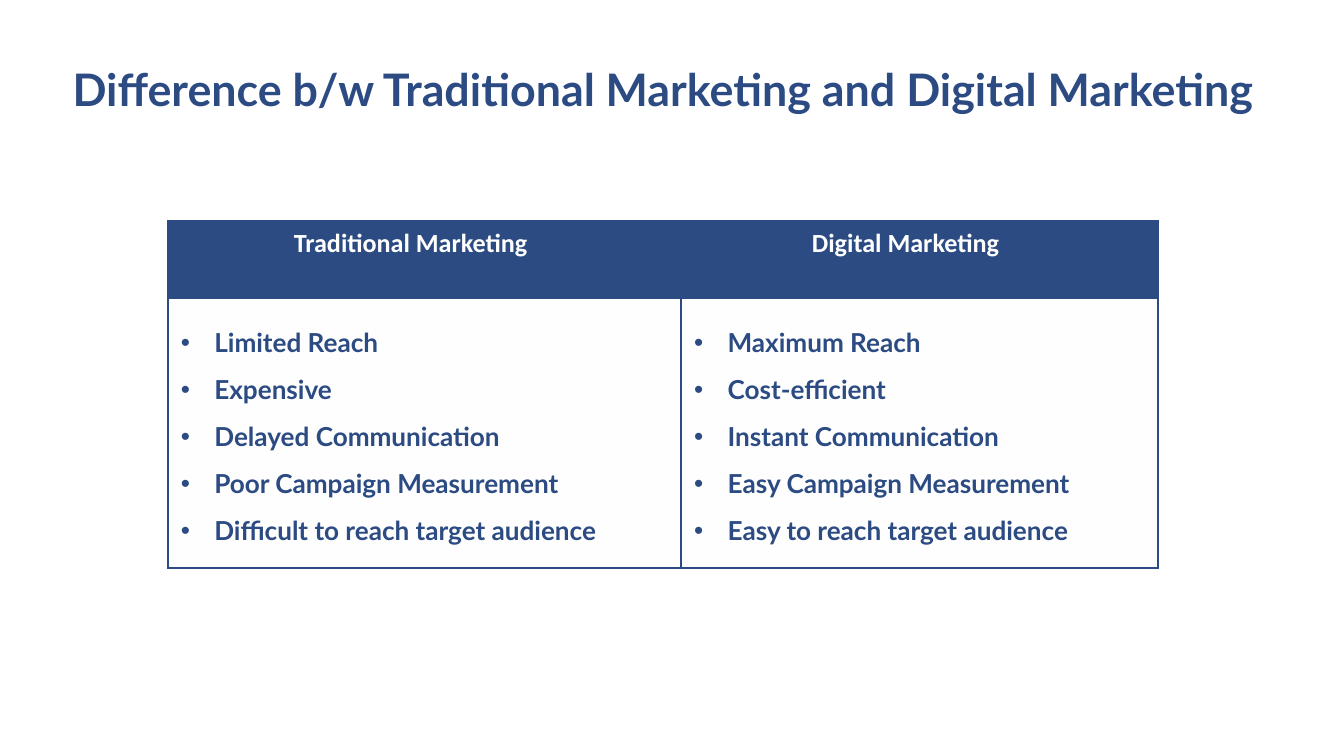
from dataclasses import dataclass

from lxml.etree import SubElement
from pptx import Presentation
from pptx.dml.color import RGBColor
from pptx.enum.text import MSO_AUTO_SIZE, PP_ALIGN
from pptx.oxml.ns import qn
from pptx.util import Inches, Pt

NAVY = RGBColor(0x2B, 0x4B, 0x82)
WHITE = RGBColor(0xFF, 0xFF, 0xFF)
OFF_WHITE = RGBColor(0xFE, 0xFE, 0xFE)


@dataclass
class MarketingColumn:
    heading: str
    points: list[str]


COLUMNS = [
    MarketingColumn("Traditional Marketing", [
        "Limited Reach",
        "Expensive",
        "Delayed Communication",
        "Poor Campaign Measurement",
        "Difficult to reach target audience",
    ]),
    MarketingColumn("Digital Marketing", [
        "Maximum Reach",
        "Cost-efficient",
        "Instant Communication",
        "Easy Campaign Measurement",
        "Easy to reach target audience",
    ]),
]
COLUMN_WIDTHS = [7.22, 0.23, 6.67, 0.23]
ROW_HEIGHTS = [1.15, 4.01]


def add_run(p, text: str, size: int, font: str, color: RGBColor) -> None:
    r = p.add_run()
    r.text = text
    r.font.size = Pt(size)
    r.font.name = font
    r.font.bold = True
    r.font.color.rgb = color


def style_cell(cell, fill: RGBColor) -> None:
    cell.margin_left = cell.margin_right = Inches(0.19)
    cell.margin_top = cell.margin_bottom = Inches(0.19)
    tc_pr = cell._tc.get_or_add_tcPr()
    for side in ("lnL", "lnR", "lnT", "lnB"):
        ln = SubElement(tc_pr, qn(f"a:{side}"), w=str(Pt(2.25)))
        line_fill = SubElement(ln, qn("a:solidFill"))
        SubElement(line_fill, qn("a:srgbClr"), val=str(NAVY))
    cell.fill.solid()
    cell.fill.fore_color.rgb = fill


def write_heading(cell, text: str) -> None:
    p = cell.text_frame.paragraphs[0]
    p.alignment = PP_ALIGN.CENTER
    p.line_spacing = Pt(28)
    add_run(p, text, 28, "Calibri", WHITE)


def write_bullets(cell, points: list[str]) -> None:
    tf = cell.text_frame
    for i, point in enumerate(points):
        p = tf.add_paragraph() if i else tf.paragraphs[0]
        p.line_spacing = 1.5
        p_pr = p._p.get_or_add_pPr()
        p_pr.set("marL", str(Inches(0.5)))
        p_pr.set("indent", str(Inches(-0.5)))
        SubElement(p_pr, qn("a:buFont"), typeface="Arial")
        SubElement(p_pr, qn("a:buChar"), char="•")
        add_run(p, point, 28, "Lato", NAVY)


def add_comparison(slide, columns: list[MarketingColumn]) -> None:
    table = slide.shapes.add_table(
        len(ROW_HEIGHTS), len(COLUMN_WIDTHS), Inches(2.5), Inches(3.29),
        Inches(sum(COLUMN_WIDTHS)), Inches(sum(ROW_HEIGHTS))).table
    for column, width in zip(table.columns, COLUMN_WIDTHS):
        column.width = Inches(width)
    for row, height, fill in zip(table.rows, ROW_HEIGHTS, (NAVY, OFF_WHITE)):
        row.height = Inches(height)
        for cell in row.cells:
            style_cell(cell, fill)

    # Each topic takes a wide column and a narrow one beside it
    for i, topic in enumerate(columns):
        write_heading(table.cell(0, 2 * i), topic.heading)
        body = table.cell(1, 2 * i)
        body.merge(table.cell(1, 2 * i + 1))
        write_bullets(body, topic.points)


def add_title(slide, text: str) -> None:
    sp = slide.shapes.add_textbox(
        Inches(1.08), Inches(0.79), Inches(17.86), Inches(1.88))
    tf = sp.text_frame
    tf.word_wrap = True
    tf.auto_size = MSO_AUTO_SIZE.SHAPE_TO_FIT_TEXT
    tf.margin_left = tf.margin_right = tf.margin_top = tf.margin_bottom = 0
    p = tf.paragraphs[0]
    p.line_spacing = Pt(67.2)
    add_run(p, text, 48, "Lato", NAVY)


def main() -> None:
    prs = Presentation()
    prs.slide_width = Inches(20)
    prs.slide_height = Inches(11.25)
    s = prs.slides.add_slide(prs.slide_layouts[6])

    # Comparison table
    add_comparison(s, COLUMNS)

    # Title
    add_title(s, "Difference b/w Traditional Marketing and Digital Marketing")

    prs.save("out.pptx")


if __name__ == "__main__":
    main()
